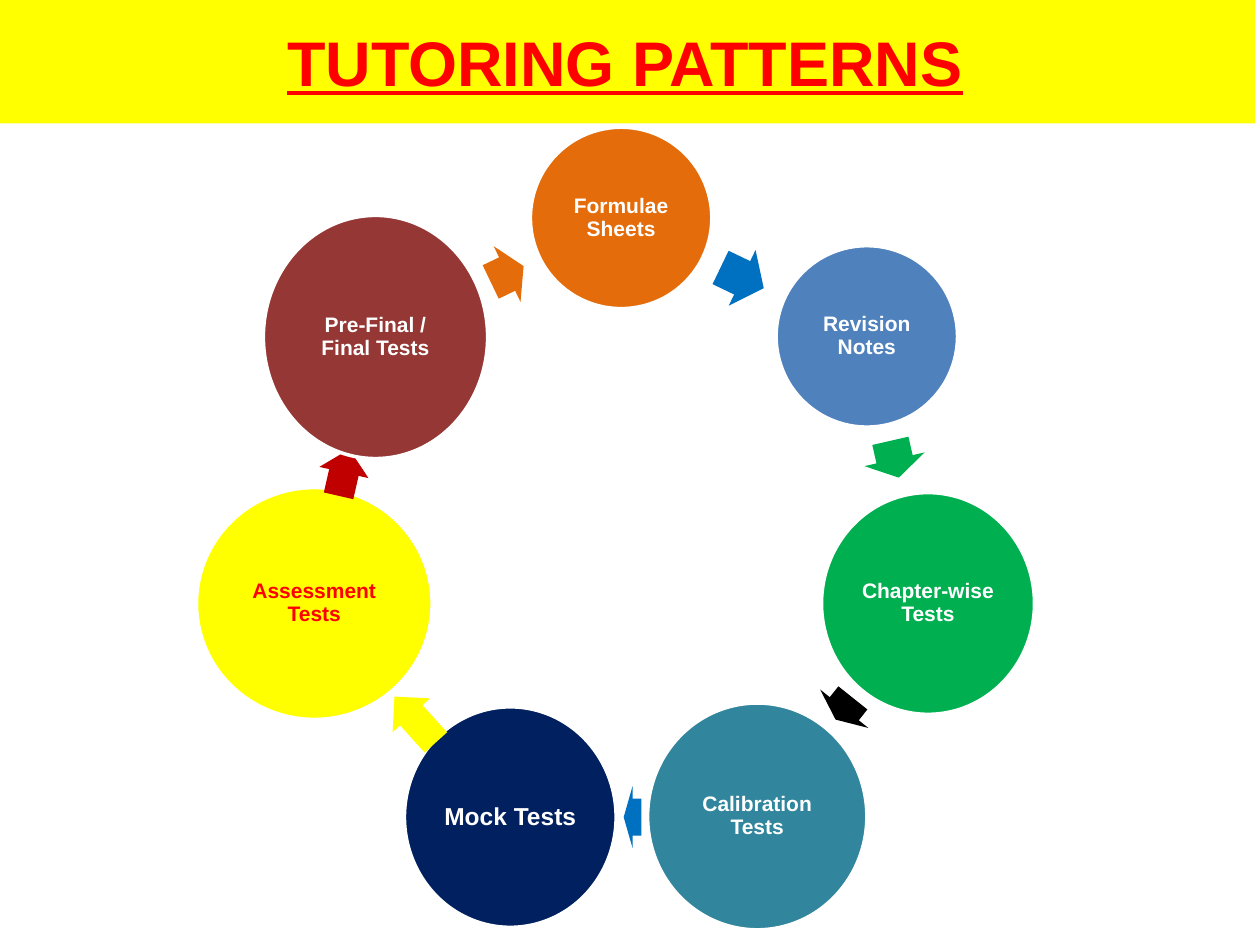
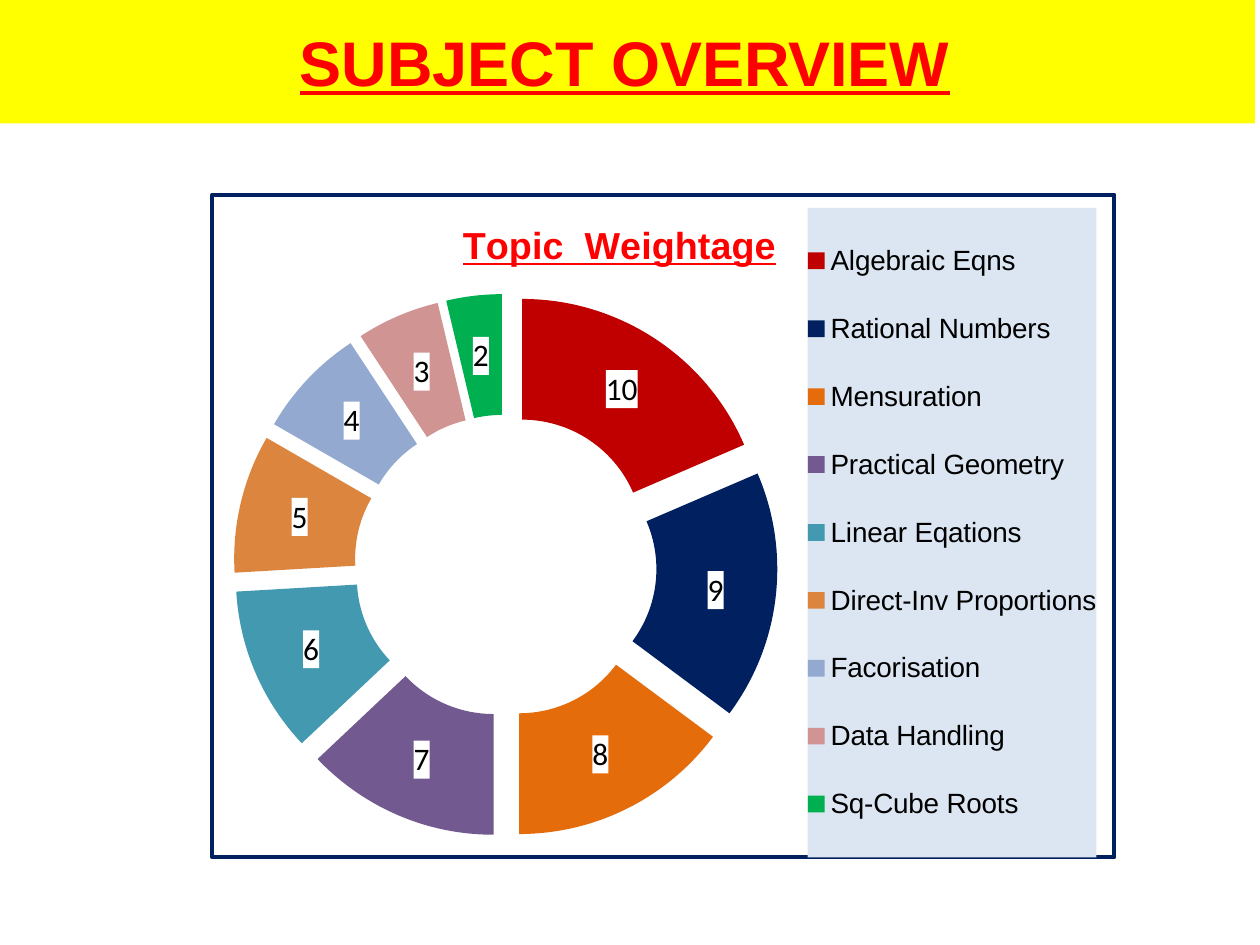
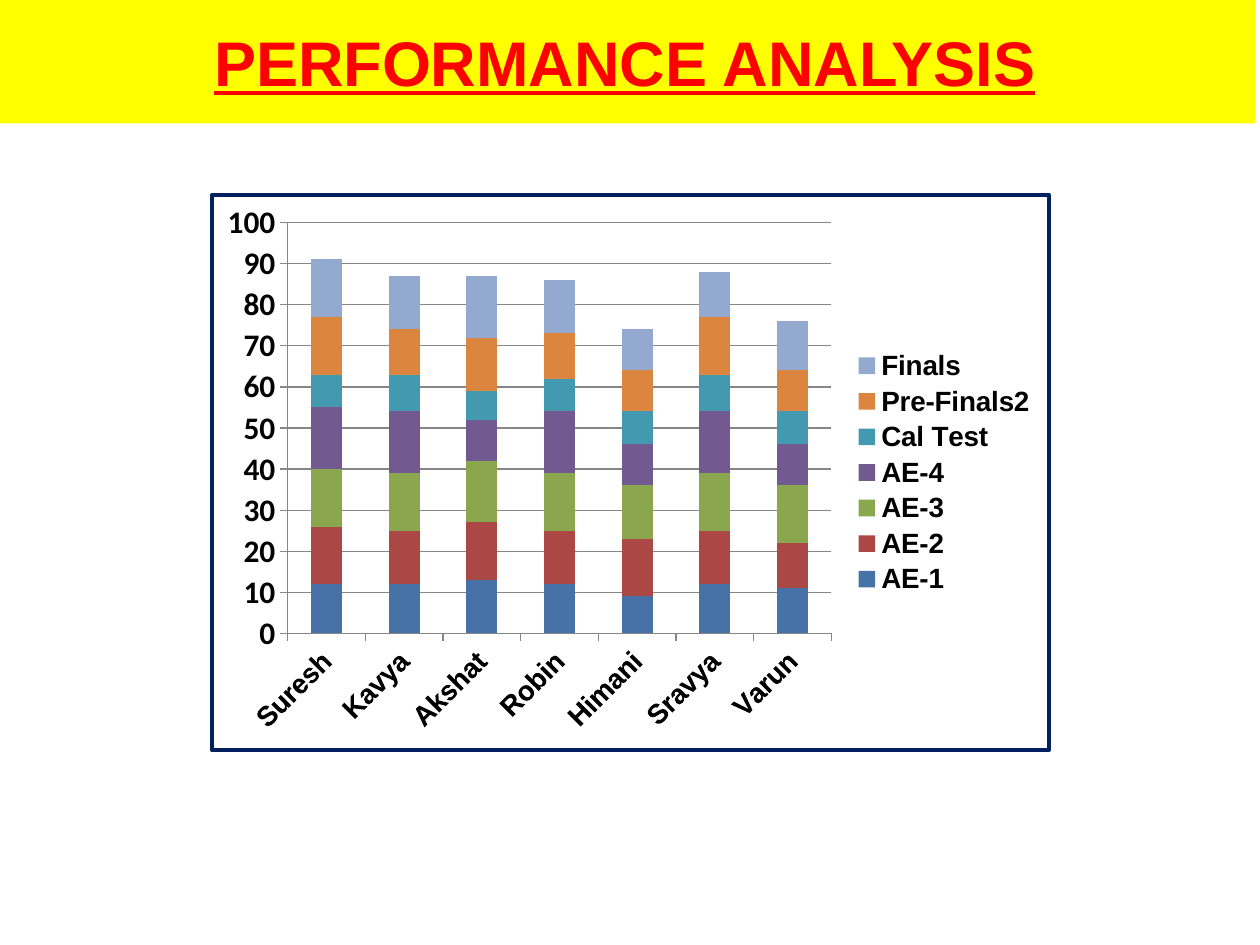
from lxml import etree
from pptx import Presentation
from pptx.chart.data import CategoryChartData
from pptx.dml.color import RGBColor
from pptx.enum.chart import XL_CHART_TYPE as ChartType, XL_TICK_MARK as Tick
from pptx.enum.shapes import MSO_SHAPE as Shape
from pptx.enum.text import MSO_ANCHOR as Anchor, MSO_AUTO_SIZE as AutoSize, PP_ALIGN as Align
from pptx.oxml import parse_xml
from pptx.oxml.ns import nsdecls, qn
from pptx.util import Emu, Pt

PX = 9144  # 100 px to the inch
TITLE_ONLY = 5
TITLE_BOX = (-4, -1, 1000, 99)

WHITE, BLACK, RED, YELLOW = "FFFFFF", "000000", "FF0000", "FFFF00"
NAVY, ORANGE, GREEN, CRIMSON = "002060", "E46C0A", "00B050", "C00000"
AZURE, GREY, PALE_BLUE = "0070C0", "868686", "DCE6F2"
VIOLET, TEAL, AMBER, PERIWINKLE = "725990", "4299B0", "DC853E", "93A9CF"

# label, circle box, fill, text colour, text size
STAGES = [
    ("Formulae Sheets", (421, 101, 144, 144), ORANGE, WHITE, 12),
    ("Revision Notes", (616, 195, 144, 144), "4F81BD", WHITE, 12),
    ("Chapter-wise Tests", (652, 391, 169, 176), GREEN, WHITE, 12),
    ("Calibration Tests", (514, 558, 174, 180), "31859C", WHITE, 12),
    ("Mock Tests", (321, 561, 168, 175), NAVY, WHITE, 14),
    ("Assessment Tests", (156, 387, 187, 184), YELLOW, RED, 12),
    ("Pre-Final / Final Tests", (209, 171, 178, 193), "953735", WHITE, 12),
]
# arrow that leaves each stage: box, rotation, fill
ARROWS = [
    ((570, 196, 38, 49), 25.7, AZURE),
    ((695, 340, 30, 49), 77.1, GREEN),
    ((659, 538, 22, 49), 128.6, BLACK),
    ((495, 624, 14, 49), 180, AZURE),
    ((305, 551, 49, 40), 227.9, YELLOW),
    ((254, 355, 38, 40), 282.9, CRIMSON),
    ((388, 193, 29, 49), 334.3, ORANGE),
]

TOPICS = [
    ("Algebraic Eqns", 10, CRIMSON),
    ("Rational Numbers", 9, NAVY),
    ("Mensuration", 8, ORANGE),
    ("Practical Geometry", 7, VIOLET),
    ("Linear Eqations", 6, TEAL),
    ("Direct-Inv Proportions", 5, AMBER),
    ("Facorisation", 4, PERIWINKLE),
    ("Data Handling", 3, "D09493"),
    ("Sq-Cube Roots", 2, GREEN),
]

STUDENTS = ["Suresh", "Kavya", "Akshat", "Robin", "Himani", "Sravya", "Varun"]
EXAMS = [
    ("AE-1", (12, 12, 13, 12, 9, 12, 11), "4672A8"),
    ("AE-2", (14, 13, 14, 13, 14, 13, 11), "AB4744"),
    ("AE-3", (14, 14, 15, 14, 13, 14, 14), "8AA64F"),
    ("AE-4", (15, 15, 10, 15, 10, 15, 10), VIOLET),
    ("Cal Test", (8, 9, 7, 8, 8, 9, 8), TEAL),
    ("Pre-Finals2", (14, 11, 13, 11, 10, 14, 10), AMBER),
    ("Finals", (14, 13, 15, 13, 10, 11, 12), PERIWINKLE),
]


def emu(box):
    return [Emu(length * PX) for length in box]


def rgb(color):
    return RGBColor.from_string(color)


def paint(item, color):
    item.fill.solid()
    item.fill.fore_color.rgb = rgb(color)


def style_font(font, size, color=BLACK, name="Arial", bold=False, underline=False):
    font.size = Pt(size)
    font.color.rgb = rgb(color)
    font.name = name
    font.bold = bold
    font.underline = underline


def write(frame, text, size, color, underline=False):
    """Put one centred bold line of text in the middle of a frame."""
    frame.word_wrap = True
    frame.auto_size = AutoSize.NONE
    frame.vertical_anchor = Anchor.MIDDLE
    paragraph = frame.paragraphs[0]
    paragraph.alignment = Align.CENTER
    run = paragraph.add_run()
    run.text = text
    style_font(run.font, size, color, bold=True, underline=underline)
    return paragraph


def add_titled_slide(prs, heading):
    slide = prs.slides.add_slide(prs.slide_layouts[TITLE_ONLY])
    band = slide.shapes.title
    band.left, band.top, band.width, band.height = emu(TITLE_BOX)
    paint(band, YELLOW)
    write(band.text_frame, heading, 36, RED, underline=True)
    return slide


def add_solid(slide, kind, box, color):
    solid = slide.shapes.add_shape(kind, *emu(box))
    solid.shadow.inherit = False
    paint(solid, color)
    solid.line.fill.background()
    return solid


def add_stage(slide, label, box, fill, color, size):
    circle = add_solid(slide, Shape.OVAL, box, fill)
    circle.line.color.rgb = rgb(WHITE)
    circle.line.width = Pt(2)
    frame = circle.text_frame
    frame.margin_left = frame.margin_right = Emu(2 * PX)
    frame.margin_top = frame.margin_bottom = Emu(2 * PX)
    write(frame, label, size, color).line_spacing = 0.9


def add_arrow(slide, box, rotation, color):
    arrow = add_solid(slide, Shape.RIGHT_ARROW, box, color)
    arrow.adjustments[0], arrow.adjustments[1] = 0.6, 0.5
    arrow.rotation = rotation


def add_cycle(slide):
    for stage, arrow in zip(STAGES, ARROWS):
        add_stage(slide, *stage)
        add_arrow(slide, *arrow)


def add_look(part, fill=None, border=None):
    """Give a chart part a fill and a border, just before its text properties."""
    inside = f'<a:solidFill><a:srgbClr val="{fill}"/></a:solidFill>' if fill else "<a:noFill/>"
    edge = ""
    if border:
        edge = (f'<a:ln w="{Pt(2.25)}"><a:solidFill><a:srgbClr val="{border}"/>'
                "</a:solidFill></a:ln>")
    look = parse_xml(f'<c:spPr {nsdecls("c", "a")}>{inside}{edge}</c:spPr>')
    part.find(qn("c:txPr")).addprevious(look)


def set_layout(part, index, inner=False, **fractions):
    """Place a chart part by fractions of the chart's width and height."""
    for old in part.findall(qn("c:layout")):
        part.remove(old)
    layout = etree.Element(qn("c:layout"))
    manual = etree.SubElement(layout, qn("c:manualLayout"))
    if inner:
        etree.SubElement(manual, qn("c:layoutTarget")).set("val", "inner")
    for side in "xy":
        etree.SubElement(manual, qn(f"c:{side}Mode")).set("val", "edge")
    for key, value in fractions.items():
        etree.SubElement(manual, qn(f"c:{key}")).set("val", str(value))
    part.insert(index, layout)


def add_framed_chart(slide, kind, box, categories, series, bold_legend):
    data = CategoryChartData()
    data.categories = categories
    for name, values in series:
        data.add_series(name, values)
    chart = slide.shapes.add_chart(kind, *emu(box), data).chart
    style_font(chart.font, 18, name="Calibri")
    add_look(chart.element, border=NAVY)
    chart.has_legend = True
    chart.legend.include_in_layout = False
    style_font(chart.legend.font, 16, bold=bold_legend)
    return chart


def add_topic_doughnut(slide, box):
    names, weights, colors = zip(*TOPICS)
    chart = add_framed_chart(slide, ChartType.DOUGHNUT, box, names,
                             [("Series 1", weights)], bold_legend=False)
    chart.has_title = True
    run = chart.chart_title.text_frame.paragraphs[0].add_run()
    run.text = "Topic  Weightage"
    style_font(run.font, 21.6, RED, bold=True, underline=True)

    root = chart.element
    explosion = etree.Element(qn("c:explosion"))
    explosion.set("val", "25")
    root.find(".//" + qn("c:ser")).find(qn("c:tx")).addnext(explosion)
    plot = chart.plots[0]
    plot.vary_by_categories = True
    for index, color in enumerate(colors):
        paint(plot.series[0].points[index].format, color)

    labels = plot.series[0].data_labels
    labels.show_value = True
    labels.show_percentage = False
    style_font(labels.font, 18, name="Calibri")
    add_look(root.find(".//" + qn("c:ser")).find(qn("c:dLbls")), fill=WHITE)

    legend = root.find(".//" + qn("c:legend"))
    add_look(legend, fill=PALE_BLUE)
    set_layout(legend, 1, x=0.66, y=0.02, w=0.32, h=0.98)
    set_layout(root.find(".//" + qn("c:title")), 1, x=0.27, y=0.03)
    set_layout(root.find(".//" + qn("c:plotArea")), 0, inner=True,
               x=0.02, y=0.15, w=0.61, h=0.82)


def add_score_columns(slide, box):
    chart = add_framed_chart(slide, ChartType.COLUMN_STACKED, box, STUDENTS,
                             [exam[:2] for exam in EXAMS], bold_legend=True)
    chart.has_title = False
    plot = chart.plots[0]
    plot.vary_by_categories = False
    plot.gap_width, plot.overlap = 150, 100
    for series, (_, _, color) in zip(plot.series, EXAMS):
        paint(series.format, color)

    students, scores = chart.category_axis, chart.value_axis
    scores.minimum_scale, scores.maximum_scale, scores.major_unit = 0, 100, 10
    scores.has_major_gridlines = True
    style_font(students.tick_labels.font, 16, bold=True)
    style_font(scores.tick_labels.font, 18, name="Calibri", bold=True)
    for axis in (students, scores):
        axis.major_tick_mark = Tick.OUTSIDE
        axis.minor_tick_mark = Tick.NONE
    for ruled in (students, scores, scores.major_gridlines):
        ruled.format.line.color.rgb = rgb(GREY)
        ruled.format.line.width = Pt(0.75)
    chart.element.xpath(".//c:catAx/c:txPr/a:bodyPr")[0].set("rot", "-2700000")
    set_layout(chart.element.find(".//" + qn("c:plotArea")), 0, inner=True,
               x=0.09, y=0.05, w=0.65, h=0.74)


def main():
    prs = Presentation()
    prs.slide_width, prs.slide_height = emu((1000, 750))
    add_cycle(add_titled_slide(prs, "TUTORING PATTERNS"))
    add_topic_doughnut(add_titled_slide(prs, "SUBJECT OVERVIEW"), (167, 153, 719, 529))
    add_score_columns(add_titled_slide(prs, "PERFORMANCE ANALYSIS"), (167, 153, 667, 444))
    prs.save("out.pptx")


if __name__ == "__main__":
    main()
